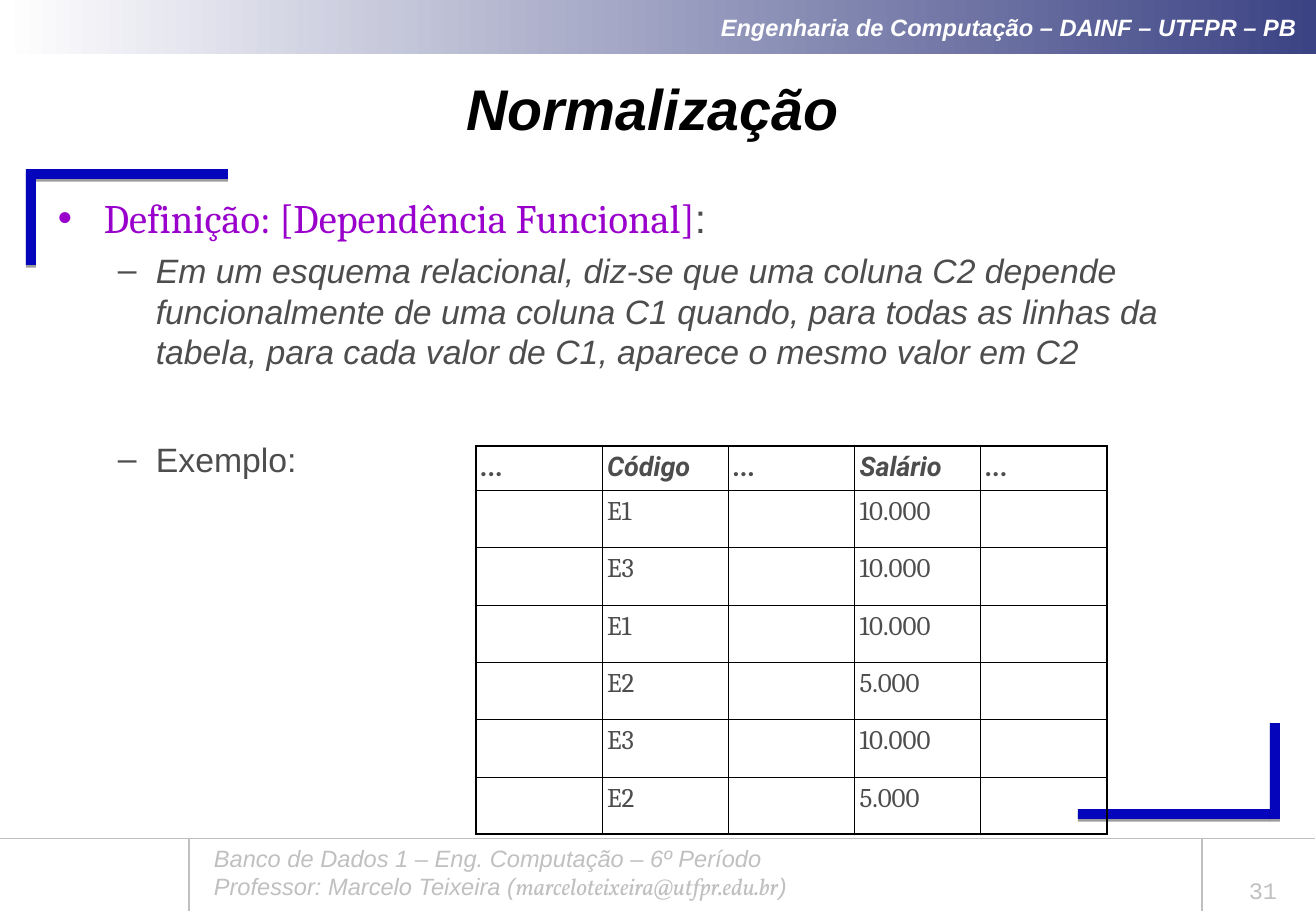
from lxml import etree
from pptx import Presentation
from pptx.dml.color import RGBColor
from pptx.enum.shapes import MSO_CONNECTOR, MSO_SHAPE
from pptx.enum.text import MSO_ANCHOR, PP_ALIGN
from pptx.oxml import parse_xml
from pptx.oxml.ns import nsdecls, qn
from pptx.util import Pt

PX = 7532
COLORS = {
    "white": "FFFFFF", "navy": "3C4384", "blue": "0505BB", "silver": "C0C0C0",
    "black": "000000", "purple": "9900CC", "gray": "4D4D4D",
}


def style(run, size, color, face="Arial", bold=False, italic=False):
    run.font.size = Pt(size)
    run.font.name = face
    run.font.bold = bold
    run.font.italic = italic
    run.font.color.rgb = RGBColor.from_string(COLORS[color])


def add_textbox(left, top, width, height):
    box = slide.shapes.add_textbox(left * PX, top * PX, width * PX, height * PX)
    box.text_frame.word_wrap = True
    return box.text_frame


deck = Presentation()
deck.slide_width = 1316 * PX
deck.slide_height = 911 * PX
slide = deck.slides.add_slide(deck.slide_layouts[5])

banner = slide.shapes.add_shape(MSO_SHAPE.RECTANGLE, 2 * PX, 0, 1314 * PX, 54 * PX)
banner.shadow.inherit = False
banner.line.fill.background()
banner.fill.gradient()
banner.fill.gradient_angle = 0
for stop, color, position in zip(banner.fill.gradient_stops, ("white", "navy"), (0, 1)):
    stop.color.rgb = RGBColor.from_string(COLORS[color])
    stop.position = position
banner.text_frame.margin_right = 19 * PX
banner.text_frame.vertical_anchor = MSO_ANCHOR.MIDDLE
course = banner.text_frame.paragraphs[0]
course.text = "Engenharia de Computação – DAINF – UTFPR – PB"
course.alignment = PP_ALIGN.RIGHT
style(course.runs[0], 14, "white", bold=True, italic=True)

CORNER_BARS = [
    (1078, 809, 192, 10), (1270, 723, 10, 96),
    (36, 169, 192, 10), (26, 169, 10, 96),
]
for left, top, width, height in CORNER_BARS:
    bar = slide.shapes.add_shape(
        MSO_SHAPE.RECTANGLE, left * PX, top * PX, width * PX, height * PX)
    bar.fill.solid()
    bar.fill.fore_color.rgb = RGBColor.from_string(COLORS["blue"])
    bar.line.fill.background()
    bar.shadow.inherit = False
    effects = bar._element.spPr.find(qn("a:effectLst"))
    effects.append(parse_xml(
        f'<a:outerShdw {nsdecls("a")} blurRad="0" dist="20320" dir="5400000">'
        f'<a:srgbClr val="{COLORS["black"]}"><a:alpha val="38000"/></a:srgbClr>'
        '</a:outerShdw>'))

FOOTER_RULES = [
    (189, 838, 189, 911, 0.75), (1202, 838, 1202, 911, 0.75), (0, 838, 1315, 838, 0.25),
]
for x1, y1, x2, y2, weight in FOOTER_RULES:
    rule = slide.shapes.add_connector(
        MSO_CONNECTOR.STRAIGHT, x1 * PX, y1 * PX, x2 * PX, y2 * PX)
    rule.line.color.rgb = RGBColor.from_string(COLORS["silver"])
    rule.line.width = Pt(weight)
    etree.SubElement(rule._element.spPr, qn("a:effectLst"))

footer = add_textbox(202, 838, 915, 69)
footer.text = "Banco de Dados 1 – Eng. Computação – 6º Período"
style(footer.paragraphs[0].runs[0], 14, "silver", italic=True)
professor = footer.add_paragraph()
for words, face in [("Professor: Marcelo Teixeira (", "Arial"),
                    ("marceloteixeira@utfpr.edu.br", "Vollkorn"), (")", "Arial")]:
    run = professor.add_run()
    run.text = words
    style(run, 14, "silver", face, italic=True)

page_number = add_textbox(1210, 863, 106, 47)
page_number.vertical_anchor = MSO_ANCHOR.BOTTOM
page_number.text = "31"
page_number.paragraphs[0].alignment = PP_ALIGN.CENTER
style(page_number.paragraphs[0].runs[0], 14, "silver", "Courier New")

title = slide.shapes.title
title.left, title.top, title.width, title.height = (n * PX for n in (26, 66, 1253, 84))
title.text_frame.text = "Normalização"
title.text_frame.vertical_anchor = MSO_ANCHOR.MIDDLE
title.text_frame.paragraphs[0].alignment = PP_ALIGN.CENTER
style(title.text_frame.paragraphs[0].runs[0], 34, "black", bold=True, italic=True)

DEFINITION = (
    "Em um esquema relacional, diz-se que uma coluna C2 depende funcionalmente de uma "
    "coluna C1 quando, para todas as linhas da tabela, para cada valor de C1, aparece "
    "o mesmo valor em C2")
OUTLINE = [
    (0, "•", "purple", 46, 46, 0,
     [("Definição: [Dependência Funcional]", 24, "purple", "Cambria", False),
      (":", 24, "gray", "Arial", False)]),
    (1, "–", "gray", 98, 38, 5, [(DEFINITION, 20, "gray", "Arial", True)]),
    (1, "–", "gray", 98, 38, 40, [("Exemplo:", 20, "gray", "Arial", False)]),
]
body = add_textbox(46, 187, 1214, 612)
for index, (level, mark, mark_color, indent, hang, gap, pieces) in enumerate(OUTLINE):
    item = body.add_paragraph() if index else body.paragraphs[0]
    item.level = level
    item.space_before = Pt(gap)
    properties = item._p.get_or_add_pPr()
    properties.set("marL", str(indent * PX))
    properties.set("indent", str(-hang * PX))
    bullet_color = etree.SubElement(properties, qn("a:buClr"))
    etree.SubElement(bullet_color, qn("a:srgbClr"), val=COLORS[mark_color])
    etree.SubElement(properties, qn("a:buFont"), typeface="Arial")
    etree.SubElement(properties, qn("a:buChar"), char=mark)
    for words, size, color, face, italic in pieces:
        run = item.add_run()
        run.text = words
        style(run, size, color, face, italic=italic)

HEADINGS = ["...", "Código", "...", "Salário", "..."]
EMPLOYEES = [("E1", "10.000"), ("E3", "10.000"), ("E1", "10.000"),
             ("E2", "5.000"), ("E3", "10.000"), ("E2", "5.000")]
records = [HEADINGS] + [["", code, "", salary, ""] for code, salary in EMPLOYEES]
last_row, last_column = len(records) - 1, len(HEADINGS) - 1
salaries = slide.shapes.add_table(
    len(records), len(HEADINGS), 476 * PX, 446 * PX, 631 * PX, 387 * PX).table
salaries.first_row = False
salaries.horz_banding = False
for column in salaries.columns:
    column.width = 631 * PX // len(HEADINGS)
for r, record in enumerate(records):
    salaries.rows[r].height = 344 * PX // last_row if r else 43 * PX
    for c, words in enumerate(record):
        cell = salaries.cell(r, c)
        cell.margin_left = cell.margin_right = 5 * PX
        cell.margin_top = cell.margin_bottom = 6 * PX
        cell.fill.background()
        edges = {"lnL": c == 0, "lnR": c == last_column,
                 "lnT": r == 0, "lnB": r == last_row}
        for order, (edge, outer) in enumerate(edges.items()):
            width = Pt(1.08 if outer else 0.45)
            cell._tc.get_or_add_tcPr().insert(order, parse_xml(
                f'<a:{edge} {nsdecls("a")} w="{width}"><a:solidFill>'
                f'<a:srgbClr val="{COLORS["black"]}"/></a:solidFill></a:{edge}>'))
        if words:
            cell.text_frame.text = words
            heading = r == 0
            style(cell.text_frame.paragraphs[0].runs[0], 16, "gray",
                  "Roboto" if heading else "Cambria", heading, heading)

deck.save("out.pptx")
